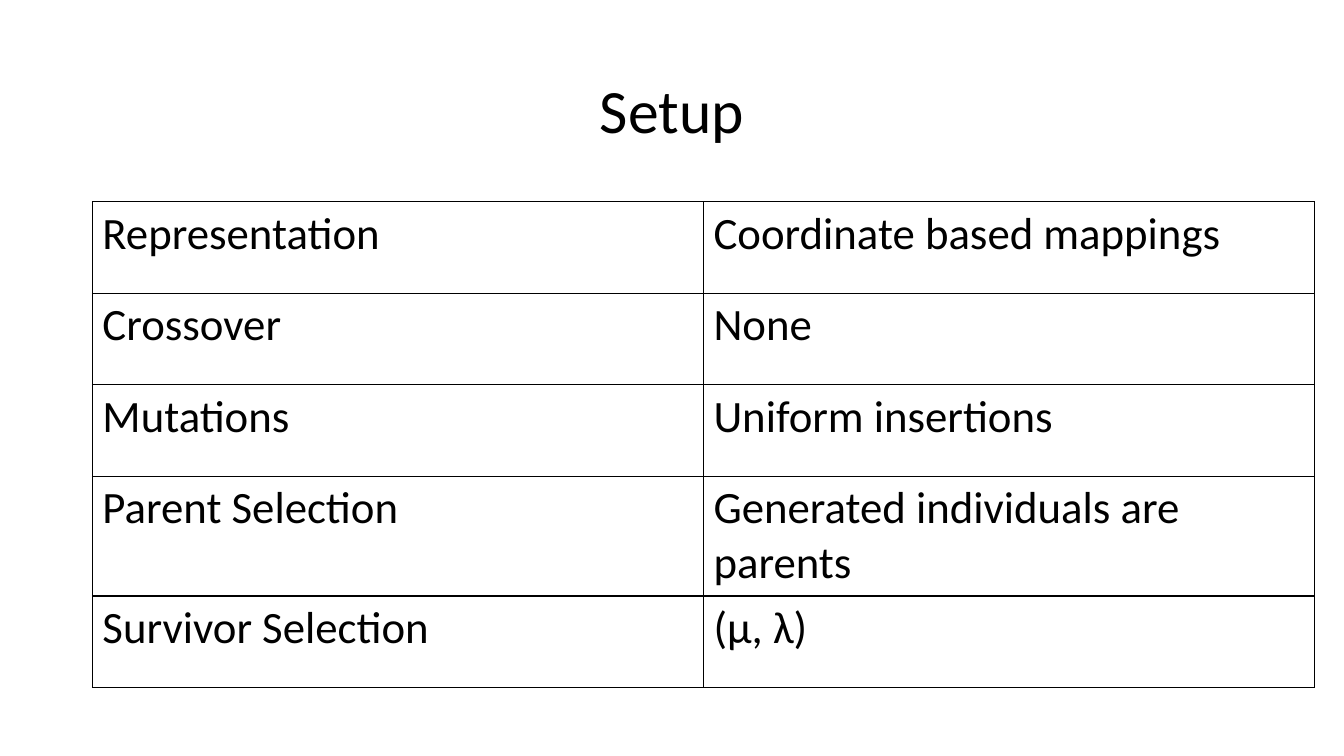
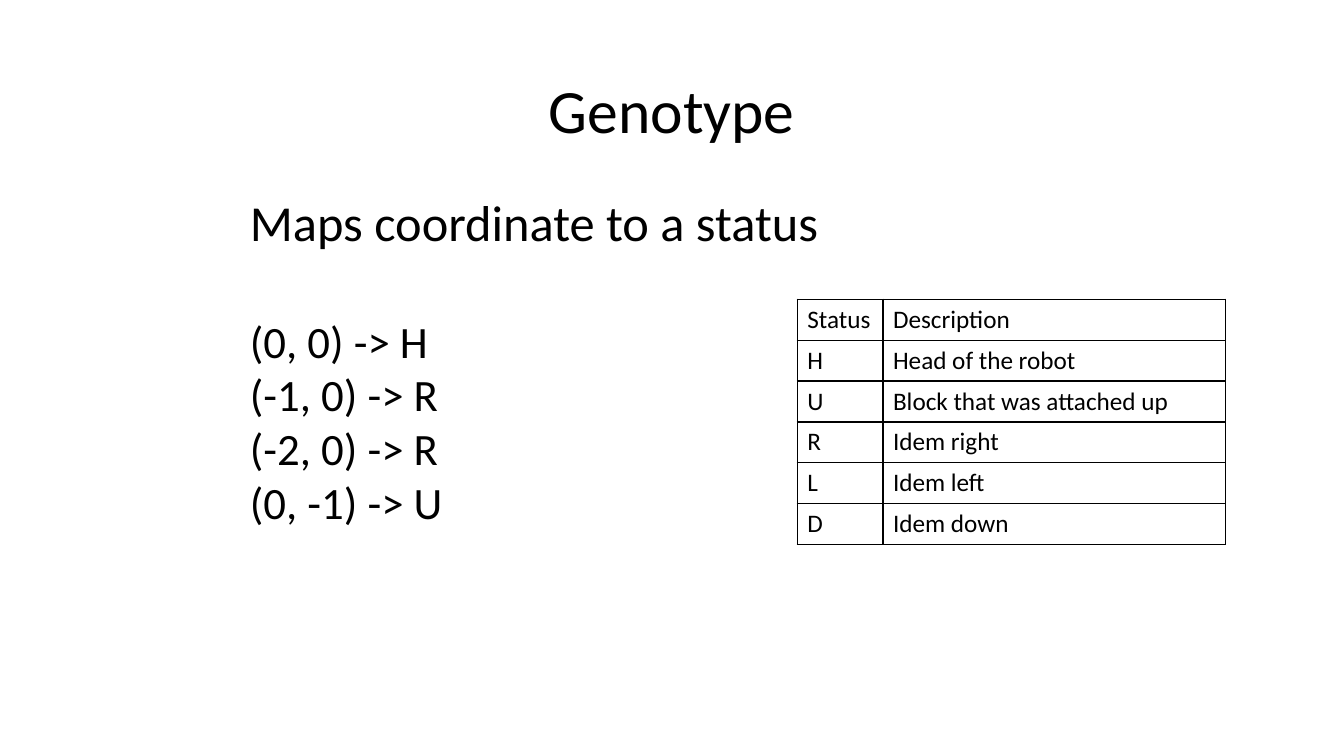
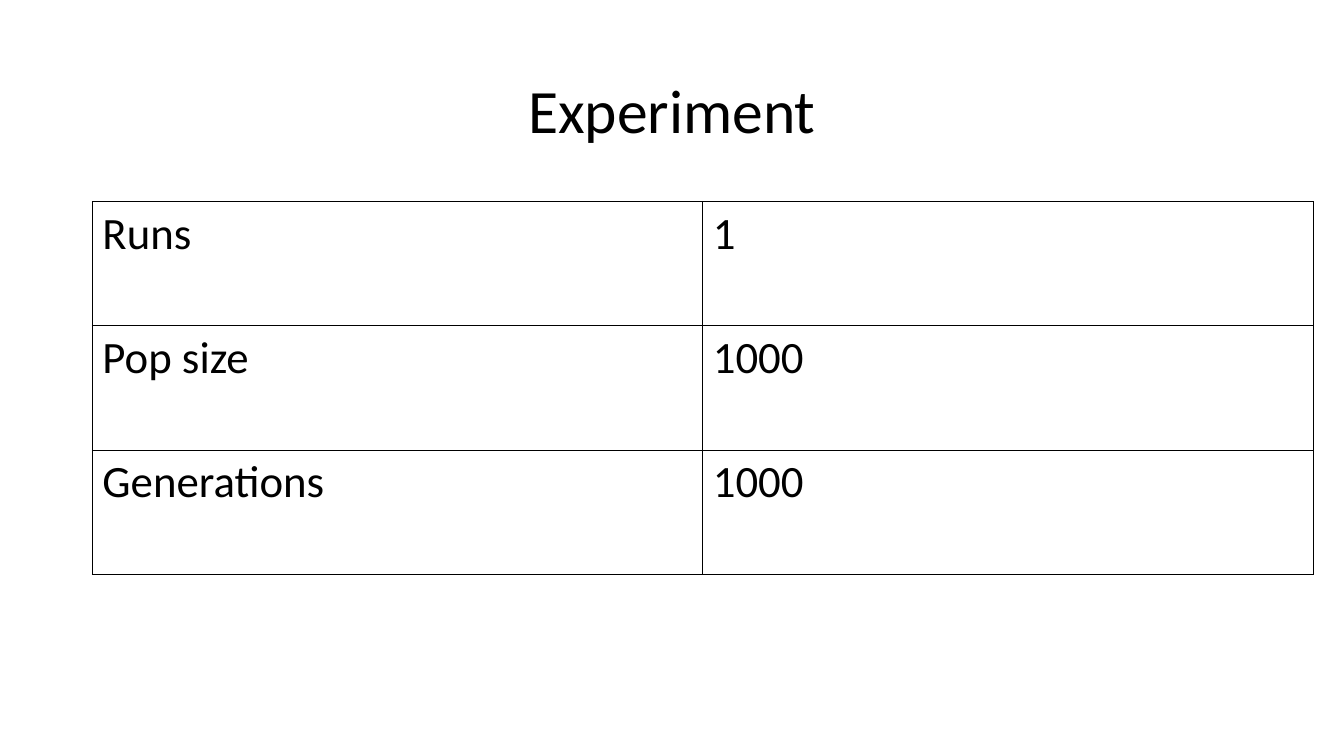
from dataclasses import dataclass

from lxml import etree
from pptx import Presentation
from pptx import util as u
from pptx.dml import color
from pptx.enum import text
from pptx.oxml import ns


@dataclass(frozen=True)
class Theme:
    font: str = "Calibri"
    ink: str = "000000"
    title: int = 44
    lead: int = 36
    body: int = 32
    small: int = 18
    border: int = 1


theme = Theme()


def write(frame, content, size, align=text.PP_ALIGN.LEFT, anchor=text.MSO_ANCHOR.TOP, spacing=1.0):
    """Fill a text frame, one paragraph per line of content."""
    frame.word_wrap = True
    frame.auto_size = text.MSO_AUTO_SIZE.NONE
    frame.vertical_anchor = anchor
    for number, line in enumerate(content.split("\n")):
        para = frame.add_paragraph() if number else frame.paragraphs[0]
        para.alignment = align
        para.line_spacing = spacing
        span = para.add_run()
        span.text = line
        span.font.name = theme.font
        span.font.size = u.Pt(size)
        span.font.color.rgb = color.RGBColor.from_string(theme.ink)


def add_grid(page, rows, left, top, widths, row_height, size):
    """Add an unfilled table with a thin border around every cell."""
    table = page.shapes.add_table(
        len(rows), len(widths), u.Pt(left), u.Pt(top),
        u.Pt(sum(widths)), u.Pt(row_height * len(rows)),
    ).table
    table.first_row = table.horz_banding = False
    for column, width in zip(table.columns, widths):
        column.width = u.Pt(width)
    for row, values in zip(table.rows, rows):
        row.height = u.Pt(row_height)
        for cell, value in zip(row.cells, values):
            properties = cell._tc.get_or_add_tcPr()
            for side in ("a:lnL", "a:lnR", "a:lnT", "a:lnB"):
                line = etree.SubElement(properties, ns.qn(side), w=str(u.Pt(theme.border)))
                solid = etree.SubElement(line, ns.qn("a:solidFill"))
                etree.SubElement(solid, ns.qn("a:srgbClr"), val=theme.ink)
            cell.fill.background()
            write(cell.text_frame, value, size)


deck = Presentation()
deck.slide_width, deck.slide_height = u.Pt(960), u.Pt(540)

# Titled pages
pages = []
for heading in ("Setup", "Genotype", "Experiment"):
    page = deck.slides.add_slide(deck.slide_layouts[5])
    title = page.shapes.title
    title.left, title.top, title.width, title.height = map(u.Pt, (66, 28.8, 828, 104.4))
    write(title.text_frame, heading, theme.title, align=text.PP_ALIGN.CENTER,
          anchor=text.MSO_ANCHOR.MIDDLE, spacing=0.9)
    pages.append(page)
setup, genotype, experiment = pages

# Setup: parts of the algorithm
setup_rows = [
    ("Representation", "Coordinate based mappings"),
    ("Crossover", "None"),
    ("Mutations", "Uniform insertions"),
    ("Parent Selection", "Generated individuals are parents"),
    ("Survivor Selection", "(μ, λ)"),
]
add_grid(setup, setup_rows, 66, 144, (436.5, 436.5), 65.4, theme.body)

# Genotype: status legend
status_rows = [
    ("Status", "Description"),
    ("H", "Head of the robot"),
    ("U", "Block that was attached up"),
    ("R", "Idem right"),
    ("L", "Idem left"),
    ("D", "Idem down"),
]
add_grid(genotype, status_rows, 569.5, 213.8, (61.2, 244.8), 29.2, theme.small)

# Genotype: example mappings and lead sentence
mappings = "(0, 0) -> H\n(-1, 0) -> R\n(-2, 0) -> R\n(0, -1) -> U"
for content, top, width, height, size in (
    (mappings, 220.3, 155.5, 162.7, theme.body),
    ("Maps coordinate to a status", 133.2, 432, 51, theme.lead),
):
    box = genotype.shapes.add_textbox(u.Pt(171.4), u.Pt(top), u.Pt(width), u.Pt(height))
    write(box.text_frame, content, size)

# Experiment: run parameters
experiment_rows = [("Runs", "1"), ("Pop size", "1000"), ("Generations", "1000")]
add_grid(experiment, experiment_rows, 66, 144, (436, 436), 88.8, theme.body)

deck.save("out.pptx")
